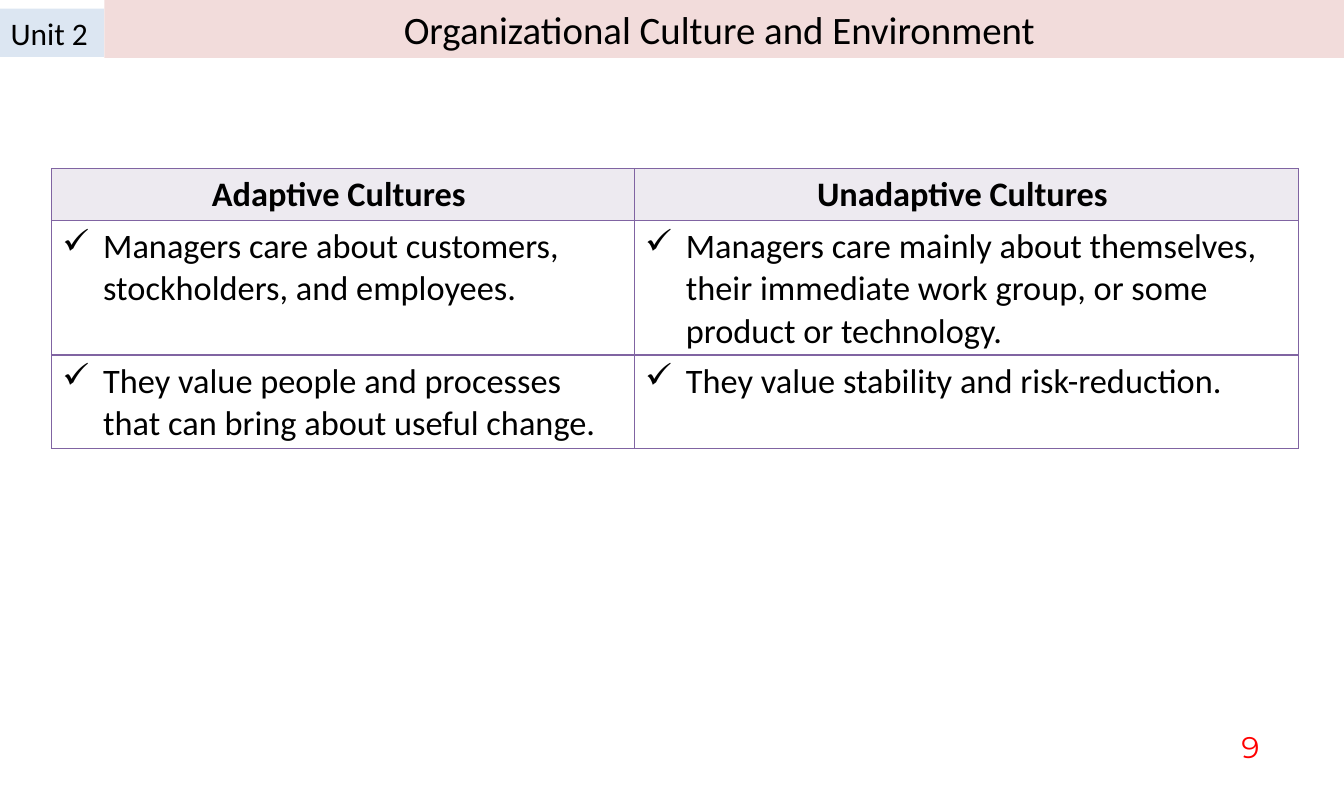
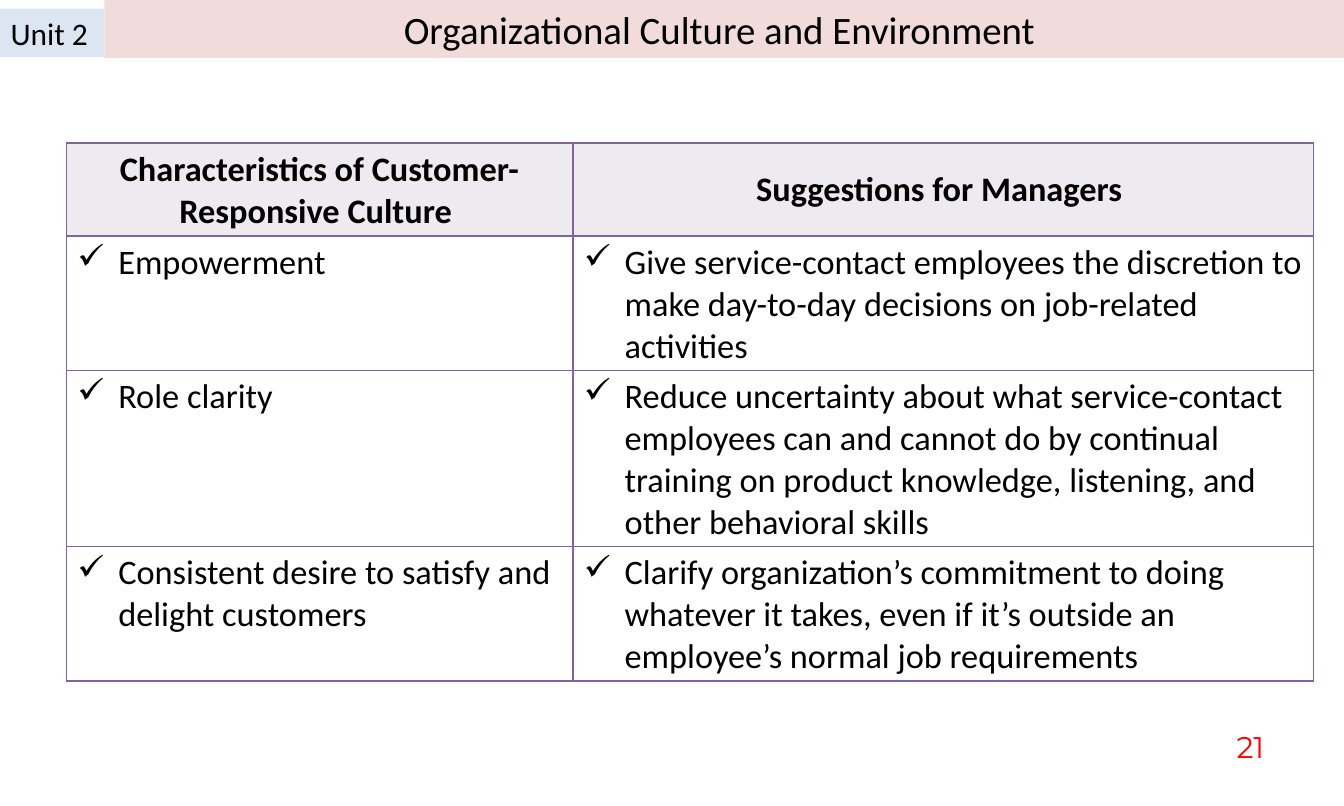
import pptx
import pptx.dml.color
import pptx.enum.shapes
import pptx.enum.text
import pptx.oxml
import pptx.oxml.ns
import pptx.util

Inches = pptx.util.Inches
ALIGN = pptx.enum.text.PP_ALIGN
ANCHOR = pptx.enum.text.MSO_ANCHOR

COLORS = {"text": "000000", "number": "FF0000", "unit": "DCE6F2",
          "title": "F2DCDB", "heading": "EDEAF0", "border": "8064A2"}
FORMATS = {
    "unit": {"name": "Calibri", "size": pptx.util.Pt(21), "bold": False},
    "title": {"name": "Calibri", "size": pptx.util.Pt(26), "bold": False},
    "heading": {"name": "Calibri", "size": pptx.util.Pt(23), "bold": True},
    "body": {"name": "Calibri", "size": pptx.util.Pt(23), "bold": False},
    "number": {"name": "Montserrat", "size": pptx.util.Pt(20), "bold": False},
}
INDENT = 0.38


def color(name):
    return pptx.dml.color.RGBColor.from_string(COLORS[name])


class Deck:
    """Holds the shared style and the current slide."""

    def __init__(self):
        self.presentation = pptx.Presentation()
        self.presentation.slide_width = Inches(12.5)
        self.presentation.slide_height = Inches(7.5)
        self.slide = None

    def new_slide(self, number):
        self.slide = self.presentation.slides.add_slide(
            self.presentation.slide_layouts[6])
        self.page_number(number)
        self.band("Unit 2", "unit", (0, 0.08, 0.97, 0.45), ALIGN.LEFT)
        self.band("Organizational Culture and Environment ", "title",
                  (0.97, 0, 11.53, 0.54), ALIGN.CENTER)

    def add_text(self, frame, text, style, align, font_color="text"):
        paragraph = frame.paragraphs[0]
        paragraph.alignment = align
        run = paragraph.add_run()
        run.text = text
        for attribute, value in FORMATS[style].items():
            setattr(run.font, attribute, value)
        run.font.color.rgb = color(font_color)
        return paragraph

    def page_number(self, number):
        box = self.slide.shapes.add_textbox(
            *map(Inches, (11.28, 6.75, 0.7, 0.4)))
        frame = box.text_frame
        frame.word_wrap = True
        frame.vertical_anchor = ANCHOR.MIDDLE
        self.add_text(frame, str(number), "number", ALIGN.CENTER, "number")

    def band(self, text, style, box, align):
        shape = self.slide.shapes.add_shape(
            pptx.enum.shapes.MSO_SHAPE.RECTANGLE, *map(Inches, box))
        shape.shadow.inherit = False
        shape.fill.solid()
        shape.fill.fore_color.rgb = color(style)
        shape.line.fill.background()
        frame = shape.text_frame
        frame.word_wrap = True
        frame.vertical_anchor = ANCHOR.TOP
        frame.auto_size = pptx.enum.text.MSO_AUTO_SIZE.SHAPE_TO_FIT_TEXT
        self.add_text(frame, text, style, align)

    def table(self, left, top, widths, heights, rows):
        table = self.slide.shapes.add_table(
            len(rows), len(widths), Inches(left), Inches(top),
            Inches(sum(widths)), Inches(sum(heights))).table
        table.first_row = table.horz_banding = False
        for column, width in zip(table.columns, widths):
            column.width = Inches(width)
        for row, height in zip(table.rows, heights):
            row.height = Inches(height)
        for row_index, texts in enumerate(rows):
            for column_index, text in enumerate(texts):
                cell = table.cell(row_index, column_index)
                self.cell_borders(cell)
                if row_index == 0:
                    cell.fill.solid()
                    cell.fill.fore_color.rgb = color("heading")
                    cell.vertical_anchor = ANCHOR.MIDDLE
                    self.add_text(cell.text_frame, text, "heading",
                                  ALIGN.CENTER)
                else:
                    cell.fill.background()
                    self.check_bullet(self.add_text(
                        cell.text_frame, text, "body", ALIGN.LEFT))

    def cell_borders(self, cell):
        properties = cell._tc.get_or_add_tcPr()
        for side in "LRTB":
            properties.append(pptx.oxml.parse_xml(
                f'<a:ln{side} {pptx.oxml.ns.nsdecls("a")} '
                f'w="{pptx.util.Pt(1)}"><a:solidFill>'
                f'<a:srgbClr val="{COLORS["border"]}"/>'
                f'</a:solidFill></a:ln{side}>'))

    def check_bullet(self, paragraph):
        properties = paragraph._p.get_or_add_pPr()
        properties.set("marL", str(Inches(INDENT)))
        properties.set("indent", str(-Inches(INDENT)))
        properties.append(pptx.oxml.parse_xml(
            f'<a:buChar {pptx.oxml.ns.nsdecls("a")} char="✓"/>'))


def main():
    deck = Deck()

    # Adaptive and unadaptive cultures
    deck.new_slide(9)
    deck.table(0.48, 1.57, (5.42, 6.18), (0.48, 1.25, 0.86), [
        ("Adaptive Cultures ", "Unadaptive Cultures "),
        ("Managers care about customers, stockholders, and employees.",
         "Managers care mainly about themselves, their immediate work group, "
         "or some product or technology."),
        ("They value people and processes that can bring about useful change.",
         "They value stability and risk-reduction."),
    ])

    # Customer-responsive culture
    deck.new_slide(21)
    deck.table(0.62, 1.33, (4.71, 6.89), (0.86, 1.25, 1.64, 1.25), [
        ("Characteristics of Customer-Responsive Culture ",
         "Suggestions for Managers "),
        ("Empowerment",
         "Give service-contact employees the discretion to make day-to-day "
         "decisions on job-related activities"),
        ("Role clarity",
         "Reduce uncertainty about what service-contact employees can and "
         "cannot do by continual training on product knowledge, listening, "
         "and other behavioral skills"),
        ("Consistent desire to satisfy and delight customers",
         "Clarify organization’s commitment to doing whatever it takes, even "
         "if it’s outside an employee’s normal job requirements"),
    ])

    deck.presentation.save("out.pptx")


if __name__ == "__main__":
    main()
